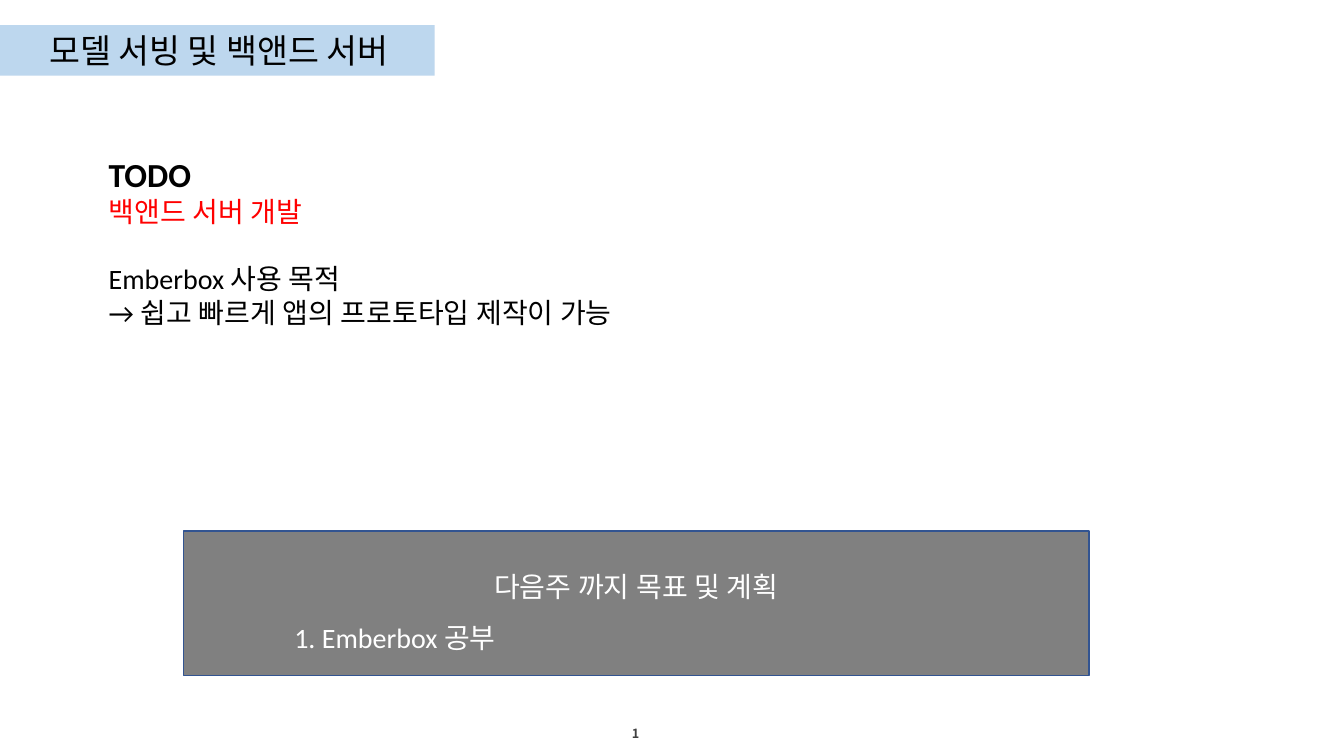
import pptx
import pptx.util
import pptx.dml.color
import pptx.enum.shapes
import pptx.enum.text

SLIDE_W, SLIDE_H = 13.33, 7.5
COLORS = {"band": "BDD7EE", "panel": "808080", "panel_line": "325491",
          "text": "000000", "accent": "FF0000", "light": "FFFFFF",
          "page": "404040"}
KOREAN, LATIN = "Noto Sans CJK KR", "Calibri"
CENTER = pptx.enum.text.PP_ALIGN.CENTER
Pt, Inches = pptx.util.Pt, pptx.util.Inches


def rgb(key):
    return pptx.dml.color.RGBColor.from_string(COLORS[key])


def area(left, top, width, height):
    """Turn shares of the slide's size into lengths."""
    return [Inches(round(share * side, 2)) for share, side in
            zip((left, top, width, height), (SLIDE_W, SLIDE_H) * 2)]


def add_block(slide, place, fill, line=None):
    block = slide.shapes.add_shape(
        pptx.enum.shapes.MSO_SHAPE.RECTANGLE, *area(*place))
    block.shadow.inherit = False
    block.fill.solid()
    block.fill.fore_color.rgb = rgb(fill)
    if line:
        block.line.color.rgb = rgb(line)
        block.line.width = Pt(1)
    else:
        block.line.fill.background()
    return block


def write_lines(frame, lines):
    """Each line is its words, its font values and its paragraph values."""
    frame.word_wrap = True
    for number, (words, font, layout) in enumerate(lines):
        paragraph = frame.add_paragraph() if number else frame.paragraphs[0]
        run = paragraph.add_run()
        run.text = words
        values = {"size": Pt(20), "name": LATIN, "bold": False, **font}
        run.font.color.rgb = rgb(values.pop("color", "text"))
        for key, value in values.items():
            setattr(run.font, key, value)
        # Hangul takes the same typeface as the Latin letters
        east_asian = pptx.oxml.parse_xml(
            '<a:ea xmlns:a="http://schemas.openxmlformats.org/'
            f'drawingml/2006/main" typeface="{values["name"]}"/>')
        run.font._element.find(
            pptx.oxml.ns.qn("a:latin")).addnext(east_asian)
        for key, value in layout.items():
            setattr(paragraph, key, value)


def add_text(slide, place, lines):
    frame = slide.shapes.add_textbox(*area(*place)).text_frame
    write_lines(frame, lines)


def main():
    deck = pptx.Presentation()
    deck.slide_width, deck.slide_height = Inches(SLIDE_W), Inches(SLIDE_H)
    slide = deck.slides.add_slide(deck.slide_layouts[6])

    # Title band
    add_block(slide, (0, 0.033, 0.323, 0.067), "band")
    add_text(slide, (0.029, 0.033, 0.578, 0.067), [
        ("모델 서빙 및 백앤드 서버", {"size": Pt(24), "name": KOREAN}, {})])

    # Page number
    add_text(slide, (0.288, 0.953, 0.37, 0.033), [
        ("1", {"size": Pt(9), "name": KOREAN, "bold": True, "color": "page"},
         {"alignment": CENTER})])

    # Tasks and purpose
    add_text(slide, (0.0735, 0.197, 0.911, 0.247), [
        ("TODO", {"size": Pt(24), "bold": True}, {}),
        ("백앤드 서버 개발", {"color": "accent"}, {}),
        ("Emberbox 사용 목적", {}, {"space_before": Pt(24)}),
        ("→ 쉽고 빠르게 앱의 프로토타입 제작이 가능", {}, {})])

    # Goals for next week
    goals = add_block(slide, (0.1365, 0.703, 0.674, 0.191),
                      "panel", "panel_line")
    goals.text_frame.vertical_anchor = pptx.enum.text.MSO_ANCHOR.MIDDLE
    write_lines(goals.text_frame, [
        ("다음주 까지 목표 및 계획", {"color": "light"},
         {"alignment": CENTER, "line_spacing": 1.5}),
        ("1. Emberbox 공부", {"color": "light"},
         {"alignment": pptx.enum.text.PP_ALIGN.LEFT, "line_spacing": 1.5})])
    goals.text_frame.paragraphs[1]._p.get_or_add_pPr().set(
        "marL", str(Inches(1)))

    deck.save("out.pptx")


if __name__ == "__main__":
    main()
